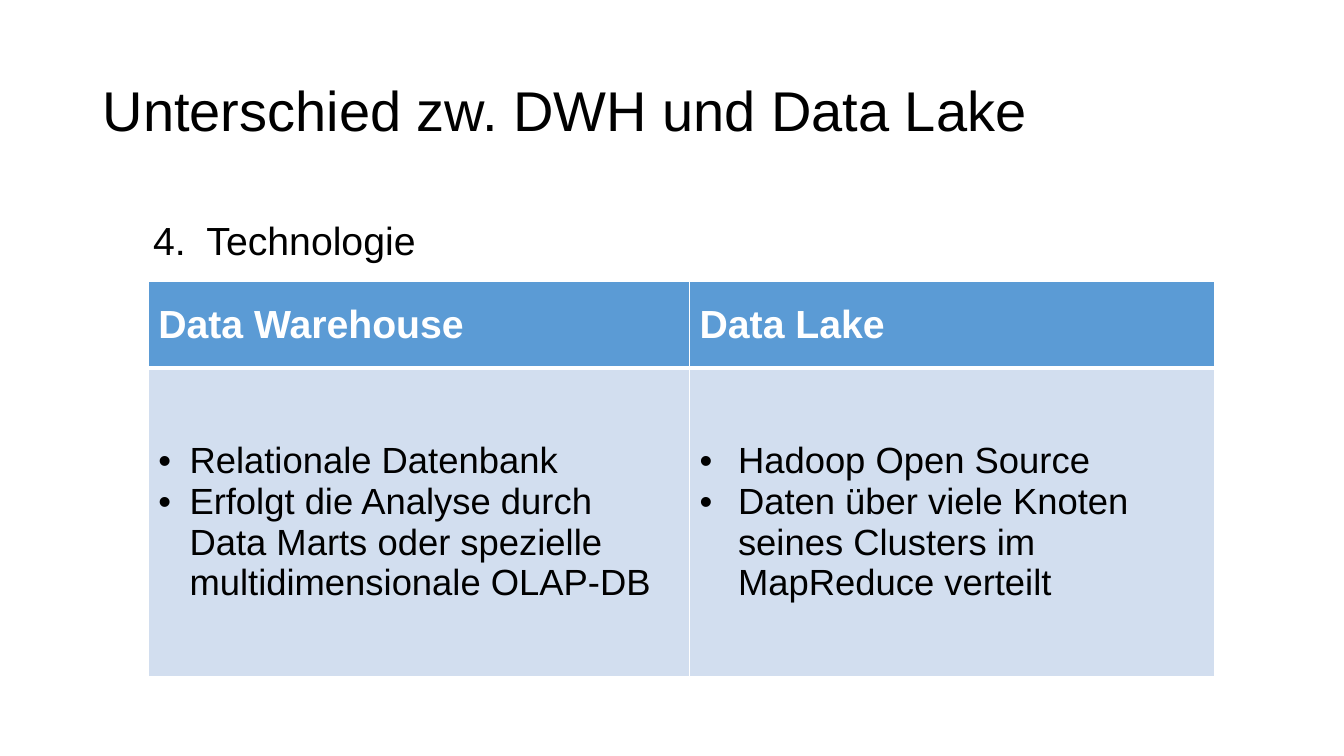
from dataclasses import dataclass

from pptx import Presentation
from pptx.dml.color import RGBColor
from pptx.enum.text import MSO_ANCHOR
from pptx.oxml import parse_xml
from pptx.oxml.ns import nsdecls
from pptx.util import Inches, Pt

TITLE = "Unterschied zw. DWH und Data Lake"
SECTION_NUMBER, SECTION = 4, "Technologie"
# heading, bullet indent, column width, bullets
COLUMNS = [
    ("Data Warehouse", 0.31, 5.37, [
        "Relationale Datenbank",
        "Erfolgt die Analyse durch Data Marts oder spezielle multidimensionale OLAP-DB",
    ]),
    ("Data Lake", 0.38, 5.21, [
        "Hadoop Open Source",
        "Daten über viele Knoten seines Clusters im MapReduce verteilt",
    ]),
]
ROW_HEIGHTS = [0.86, 3.06]


@dataclass(frozen=True)
class Theme:
    font: str = "Arial"
    text: str = "000000"
    light: str = "FFFFFF"
    header: str = "5B9BD5"
    body: str = "D2DEEF"
    title_size: int = 40
    heading_size: int = 28
    bullet_size: int = 26


THEME = Theme()


def add_run(paragraph, text, size, color=THEME.text, bold=False):
    run = paragraph.add_run()
    run.text = text
    run.font.name = THEME.font
    run.font.size = Pt(size)
    run.font.bold = bold
    run.font.color.rgb = RGBColor.from_string(color)


def add_text_box(slide, left, top, width, height, anchor):
    """Add a wrapping text box and return its frame."""
    frame = slide.shapes.add_textbox(*map(Inches, (left, top, width, height))).text_frame
    frame.word_wrap = True
    frame.vertical_anchor = anchor
    return frame


def set_marker(paragraph, marker, left, hanging):
    """Put a bullet or number element on a paragraph with a hanging indent."""
    properties = paragraph._p.get_or_add_pPr()
    properties.set("marL", str(Inches(left)))
    properties.set("indent", str(-Inches(hanging)))
    properties.append(parse_xml(f'<a:buFont {nsdecls("a")} typeface="{THEME.font}"/>'))
    properties.append(parse_xml(f'<a:{marker[0]} {nsdecls("a")} {marker[1]}/>'))


def style_cell(cell, fill, bottom_width):
    cell.vertical_anchor = MSO_ANCHOR.MIDDLE
    properties = cell._tc.get_or_add_tcPr()
    for side, width in (("L", 1), ("R", 1), ("T", 1), ("B", bottom_width)):
        properties.append(parse_xml(
            f'<a:ln{side} {nsdecls("a")} w="{Pt(width)}"><a:solidFill>'
            f'<a:srgbClr val="{THEME.light}"/></a:solidFill></a:ln{side}>'))
    cell.fill.solid()
    cell.fill.fore_color.rgb = RGBColor.from_string(fill)


def add_comparison(slide, left, top):
    widths = [column[2] for column in COLUMNS]
    table = slide.shapes.add_table(
        len(ROW_HEIGHTS), len(COLUMNS), Inches(left), Inches(top),
        Inches(sum(widths)), Inches(sum(ROW_HEIGHTS))).table
    table.horz_banding = False
    for row, height in zip(table.rows, ROW_HEIGHTS):
        row.height = Inches(height)
    for index, (heading, indent, width, bullets) in enumerate(COLUMNS):
        table.columns[index].width = Inches(width)
        header, body = table.cell(0, index), table.cell(1, index)
        style_cell(header, THEME.header, 3)
        style_cell(body, THEME.body, 1)
        add_run(header.text_frame.paragraphs[0], heading, THEME.heading_size, THEME.light, True)
        frame = body.text_frame
        for number, bullet in enumerate(bullets):
            paragraph = frame.add_paragraph() if number else frame.paragraphs[0]
            set_marker(paragraph, ("buChar", 'char="•"'), indent, indent)
            add_run(paragraph, bullet, THEME.bullet_size)


def main():
    presentation = Presentation()
    presentation.slide_width, presentation.slide_height = Inches(13.33), Inches(7.5)
    slide = presentation.slides.add_slide(presentation.slide_layouts[6])

    title = add_text_box(slide, 0.92, 0.4, 11.5, 1.45, MSO_ANCHOR.MIDDLE).paragraphs[0]
    title.line_spacing = 0.9
    add_run(title, TITLE, THEME.title_size)

    section = add_text_box(slide, 0.92, 2, 11.5, 4.96, MSO_ANCHOR.TOP).paragraphs[0]
    section.line_spacing = 1.2
    numbering = f'type="arabicPeriod" startAt="{SECTION_NUMBER}"'
    set_marker(section, ("buAutoNum", numbering), 1.03, 0.53)
    add_run(section, SECTION, THEME.heading_size)

    add_comparison(slide, 1.47, 2.79)
    presentation.save("out.pptx")


if __name__ == "__main__":
    main()
